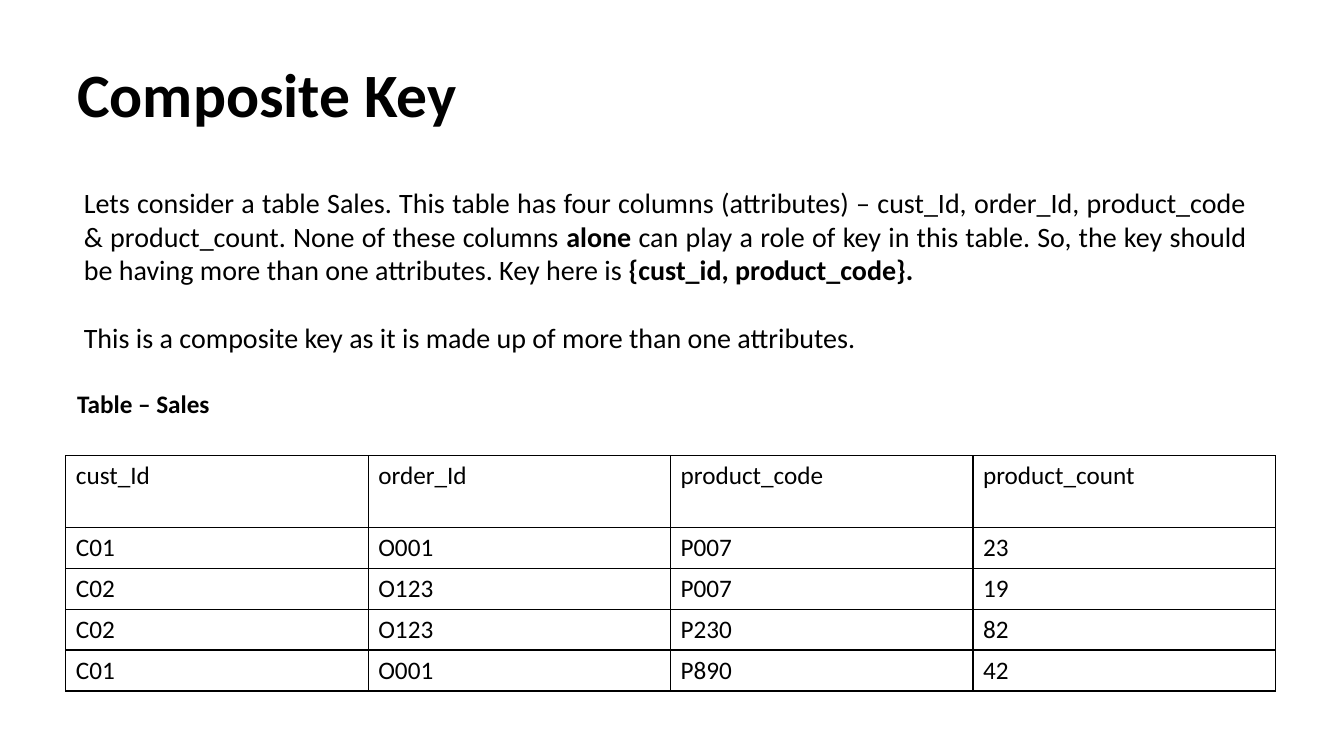
"""Build the Composite Key slide with its example Sales table."""
from lxml import etree
from pptx import Presentation
from pptx.dml.color import RGBColor
from pptx.enum.text import MSO_ANCHOR, PP_ALIGN
from pptx.oxml.ns import qn
from pptx.util import Inches, Pt

LEFT, JUSTIFY = PP_ALIGN.LEFT, PP_ALIGN.JUSTIFY
MIDDLE = MSO_ANCHOR.MIDDLE
WIDTH, HEIGHT = Inches(13.33), Inches(7.5)
FONT = "Calibri"
COLORS = {"text": "000000", "border": "000000", "cell": "FFFFFF"}
HEADER_HEIGHT, ROW_HEIGHT = Inches(0.71), Inches(0.4)
SALES = [
    ["cust_Id", "order_Id", "product_code", "product_count"],
    ["C01", "O001", "P007", "23"],
    ["C02", "O123", "P007", "19"],
    ["C02", "O123", "P230", "82"],
    ["C01", "O001", "P890", "42"],
]
EXPLANATION = [
    [
        ("Lets consider a table Sales. This table has four columns (attributes) – "
         "cust_Id, order_Id, product_code & product_count. "
         "None of these columns ", False),
        ("alone", True),
        (" can play a role of key in this table. So, the key should be having "
         "more than one attributes. Key here is ", False),
        ("{cust_id, product_code}.", True),
    ],
    [("This is a composite key as it is made up of more than one attributes.", False)],
]


def share(x, y, w, h):
    """Turn shares of the slide's size into a left, top, width, height box."""
    return int(WIDTH * x), int(HEIGHT * y), int(WIDTH * w), int(HEIGHT * h)


def write(tf, paragraphs, size, align=LEFT, gap=0):
    """Write paragraphs of (text, bold) runs, with a gap between paragraphs."""
    tf.word_wrap = True
    for i, runs in enumerate(paragraphs):
        p = tf.add_paragraph() if i else tf.paragraphs[0]
        p.alignment = align
        p.space_before = Pt(gap if i else 0)
        for text, bold in runs:
            r = p.add_run()
            r.text = text
            r.font.name = FONT
            r.font.size = Pt(size)
            r.font.bold = bold
            r.font.color.rgb = RGBColor.from_string(COLORS["text"])


def add_title(s, box, text):
    """Place and fill the title placeholder."""
    sp = s.shapes.title
    sp.left, sp.top, sp.width, sp.height = box
    sp.text_frame.vertical_anchor = MIDDLE
    write(sp.text_frame, [[(text, True)]], 44)


def add_text(s, box, paragraphs, size, **layout):
    """Add a wrapped text box."""
    sp = s.shapes.add_textbox(*box)
    write(sp.text_frame, paragraphs, size, **layout)


def style_cell(cell):
    """Give a cell thin borders and a plain fill."""
    tc_pr = cell._tc.get_or_add_tcPr()
    for side in ("a:lnL", "a:lnR", "a:lnT", "a:lnB"):
        ln = etree.SubElement(tc_pr, qn(side), w=str(Pt(1)))
        fill = etree.SubElement(ln, qn("a:solidFill"))
        etree.SubElement(fill, qn("a:srgbClr"), val=COLORS["border"])
    cell.fill.solid()
    cell.fill.fore_color.rgb = RGBColor.from_string(COLORS["cell"])


def add_table(s, box, rows):
    """Add a bordered table with a taller header row."""
    table = s.shapes.add_table(len(rows), len(rows[0]), *box).table
    table.first_row = table.horz_banding = False
    for i, values in enumerate(rows):
        table.rows[i].height = ROW_HEIGHT if i else HEADER_HEIGHT
        for j, value in enumerate(values):
            cell = table.cell(i, j)
            style_cell(cell)
            write(cell.text_frame, [[(value, False)]], 18)


def main():
    """Assemble the slide and save it."""
    prs = Presentation()
    prs.slide_width, prs.slide_height = WIDTH, HEIGHT
    s = prs.slides.add_slide(prs.slide_layouts[5])
    add_title(s, share(0.05, 0.04, 0.9, 0.167), "Composite Key")
    add_table(s, share(0.049, 0.603, 0.9, 0.31), SALES)
    add_text(s, share(0.055, 0.239, 0.88, 0.279), EXPLANATION, 20,
             align=JUSTIFY, gap=24)
    add_text(s, share(0.05, 0.507, 0.195, 0.094), [[("Table – Sales", True)]], 18)
    prs.save("out.pptx")


if __name__ == "__main__":
    main()
